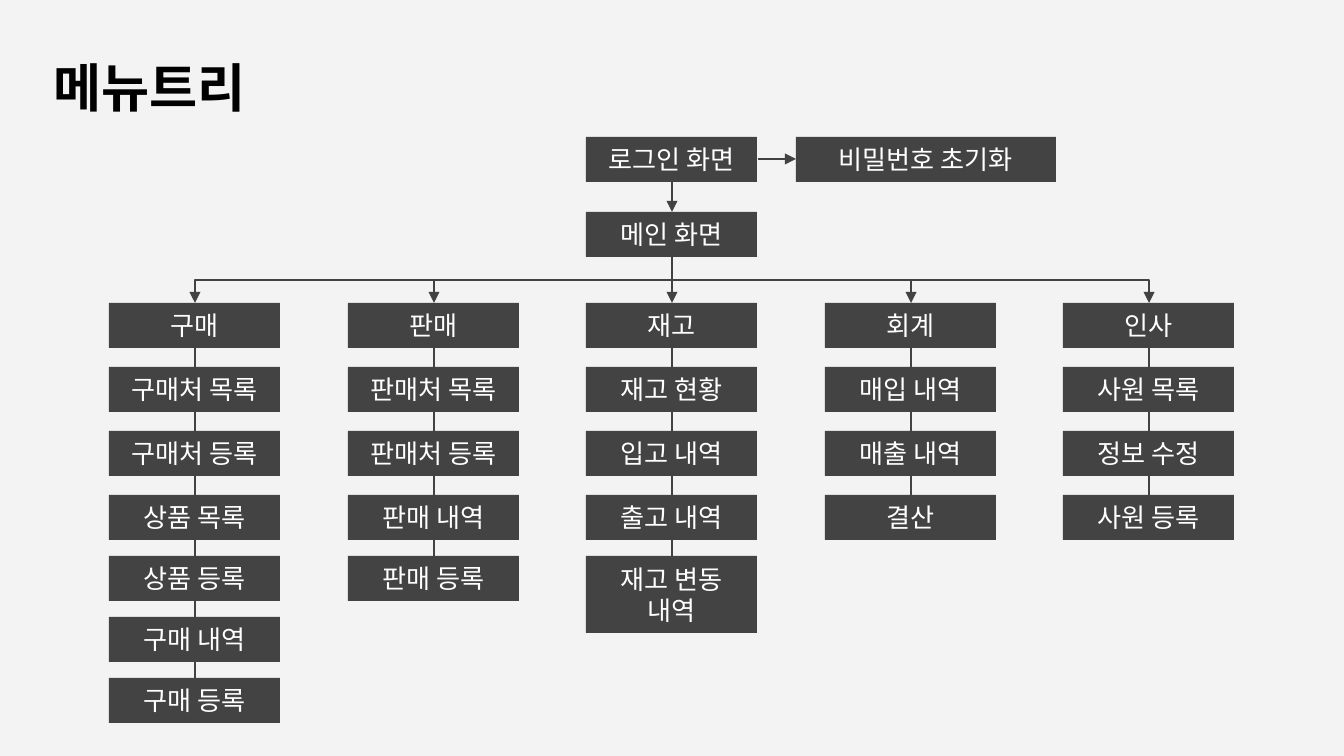
from lxml import etree
from pptx import Presentation
from pptx import util as u
from pptx.dml.color import RGBColor
from pptx.enum import shapes, text
from pptx.oxml.ns import qn

SCALE = 914400 / 134.4
COLORS = {"back": "F3F3F3", "box": "434343", "line": "424242", "label": "FFFFFF", "title": "000000"}
WIDE, HIGH = 171, 45
TOPS = (303, 367, 431, 495, 556, 617, 678)
MENUS = (
    ("구매", "구매처 목록", "구매처 등록", "상품 목록", "상품 등록", "구매 내역", "구매 등록"),
    ("판매", "판매처 목록", "판매처 등록", "판매 내역", "판매 등록"),
    ("재고", "재고 현황", "입고 내역", "출고 내역", "재고 변동 내역"),
    ("회계", "매입 내역", "매출 내역", "결산"),
    ("인사", "사원 목록", "정보 수정", "사원 등록"),
)
TALL = {"재고 변동 내역": 77}


def px(n):
    return u.Emu(round(n * SCALE))


def color(key):
    return RGBColor.from_string(COLORS[key])


class Tree:
    font = "Arial"

    def __init__(self, deck):
        self.slide = deck.slides.add_slide(deck.slide_layouts[5])
        fill = self.slide.background.fill
        fill.solid()
        fill.fore_color.rgb = color("back")

    def label(self, shape, words, size, key, align, bold=False):
        frame = shape.text_frame
        frame.word_wrap = True
        frame.text = words
        para = frame.paragraphs[0]
        para.alignment = align
        para.font.name = self.font
        para.font.size = u.Pt(size)
        para.font.bold = bold
        para.font.color.rgb = color(key)
        return frame

    def title(self, words, x, y, w, h):
        shape = self.slide.shapes.title
        shape.left, shape.top, shape.width, shape.height = map(px, (x, y, w, h))
        frame = self.label(shape, words, 28, "title", text.PP_ALIGN.LEFT, True)
        frame.auto_size = text.MSO_AUTO_SIZE.NONE
        frame.vertical_anchor = text.MSO_ANCHOR.TOP
        frame.margin_left = frame.margin_right = u.Inches(0.1)
        frame.margin_top = frame.margin_bottom = u.Inches(0.1)

    def box(self, words, x, y, w=WIDE, h=HIGH):
        shape = self.slide.shapes.add_shape(shapes.MSO_SHAPE.RECTANGLE, px(x), px(y), px(w), px(h))
        shape.shadow.inherit = False
        shape.fill.solid()
        shape.fill.fore_color.rgb = color("box")
        shape.line.fill.background()
        frame = self.label(shape, words, 14, "label", text.PP_ALIGN.CENTER)
        frame.auto_size = text.MSO_AUTO_SIZE.SHAPE_TO_FIT_TEXT

    def line(self, x1, y1, x2, y2, arrow=False, kind=shapes.MSO_CONNECTOR.STRAIGHT):
        wire = self.slide.shapes.add_connector(kind, px(x1), px(y1), px(x2), px(y2))
        wire.line.color.rgb = color("line")
        wire.line.width = u.Pt(0.75)
        props = wire.element.spPr
        if arrow:
            etree.SubElement(props.find(qn("a:ln")), qn("a:tailEnd"), type="triangle")
        etree.SubElement(props, qn("a:effectLst"))
        return wire

    def branch(self, x1, y1, x2, y2):
        drop, reach = y2 - y1, abs(x2 - x1)
        left, top = (x1 + x2 - drop) / 2, (y1 + y2 - reach) / 2
        ends = (left + drop, left) if x2 > x1 else (left, left + drop)
        wire = self.line(ends[0], top, ends[1], top + reach, True, shapes.MSO_CONNECTOR.ELBOW)
        wire.element.spPr.find(qn("a:xfrm")).set("rot", str((270 if x2 > x1 else 90) * 60000))


def main():
    deck = Presentation()
    deck.slide_width, deck.slide_height = px(1344), px(756)
    tree = Tree(deck)
    tree.title("메뉴트리", 40, 42, 325, 105)

    mid = 672
    tree.box("로그인 화면", 586, 137)
    tree.box("메인 화면", 586, 212)
    tree.box("비밀번호 초기화", 796, 137, 260)
    tree.line(mid, 182, mid, 212, True)
    tree.line(758, 159, 796, 159, True)

    for col, menu in enumerate(MENUS):
        x = 109 + (477 * col + 1) // 2
        axis = x + WIDE // 2 + 1
        tree.branch(mid, 257, axis, TOPS[0])
        for row, words in enumerate(menu):
            tree.box(words, x, TOPS[row], h=TALL.get(words, HIGH))
            if row:
                tree.line(axis, TOPS[row - 1] + HIGH, axis, TOPS[row])

    deck.save("out.pptx")


if __name__ == "__main__":
    main()
